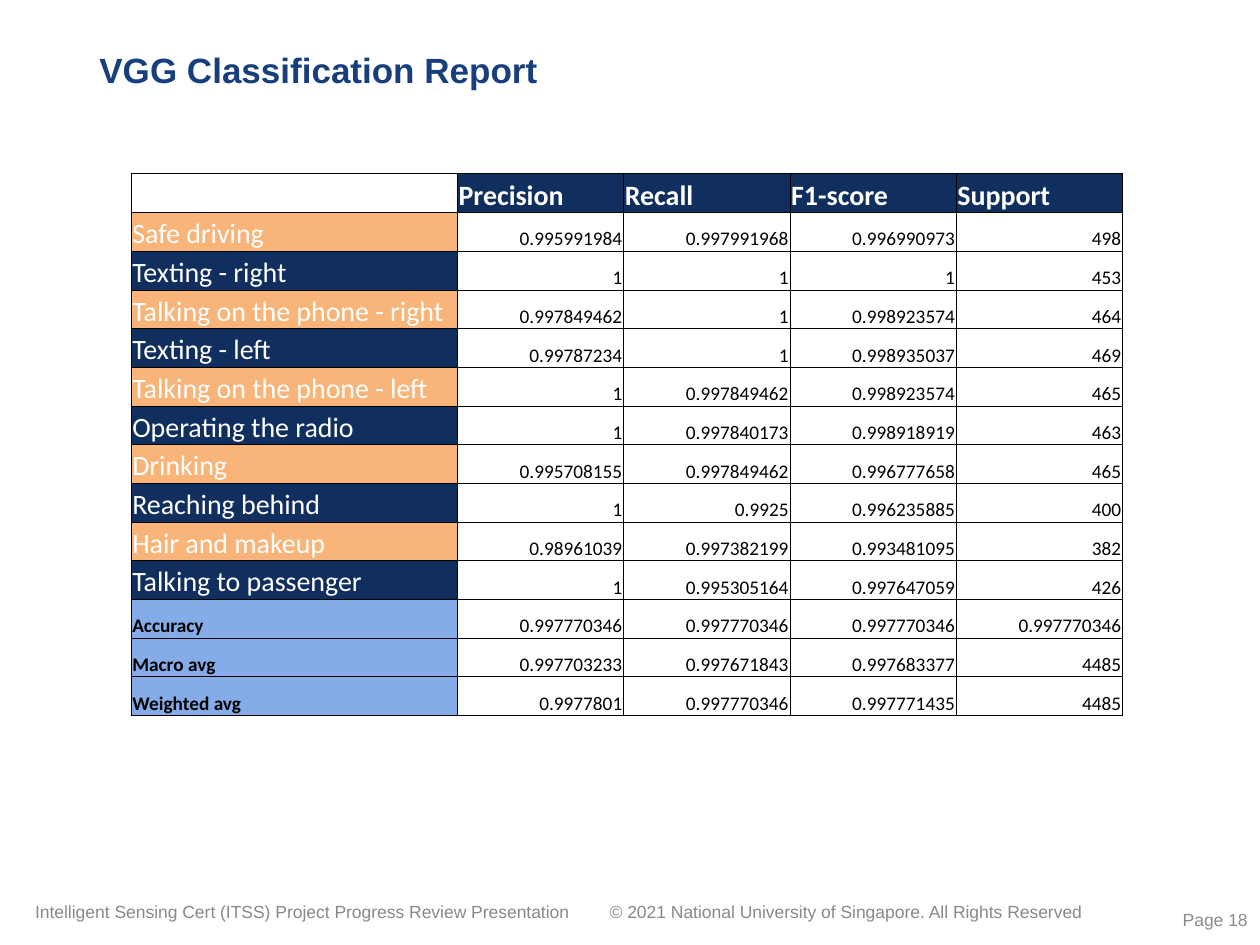
from dataclasses import dataclass

import pptx
import pptx.dml.color
import pptx.enum.text
import pptx.oxml
import pptx.oxml.ns
import pptx.slide
import pptx.table
import pptx.text.text
import pptx.util
from pptx.dml.color import RGBColor
from pptx.util import Inches

TITLE_BLUE = RGBColor(0x17, 0x3F, 0x7E)
NAVY = RGBColor(0x11, 0x2F, 0x5E)
ORANGE = RGBColor(0xF9, 0xB4, 0x79)
LIGHT_BLUE = RGBColor(0x85, 0xAC, 0xE9)
FOOTER_GRAY = RGBColor(0x89, 0x89, 0x89)
PAGE_GRAY = RGBColor(0x8C, 0x8C, 0x8C)
WHITE = RGBColor(0xFF, 0xFF, 0xFF)
BLACK = RGBColor(0, 0, 0)

ALIGN = pptx.enum.text.PP_ALIGN
ANCHOR = pptx.enum.text.MSO_ANCHOR


@dataclass(frozen=True)
class TextStyle:
    size: float
    color: RGBColor
    font: str = "Calibri"
    bold: bool = False
    align: ALIGN = ALIGN.LEFT


@dataclass(frozen=True)
class Label:
    text: str
    left: float
    top: float
    width: float
    height: float
    style: TextStyle
    anchor: ANCHOR = ANCHOR.TOP
    line_spacing: float = 1.0


FOOTER = TextStyle(10, FOOTER_GRAY, "Arial")
LABELS = [
    Label("© 2021 National University of Singapore. All Rights Reserved",
          4.74, 7.1, 4.36, 0.26, FOOTER),
    Label("Intelligent Sensing Cert (ITSS) Project Progress Review Presentation",
          0.18, 7.1, 4.56, 0.26, FOOTER),
    Label("VGG Classification Report", 0.69, 0.27, 7.22, 0.6,
          TextStyle(20, TITLE_BLUE, "Arial", True), ANCHOR.MIDDLE, 0.9),
    Label("Page 18", 8.75, 7.1, 1.25, 0.4,
          TextStyle(10, PAGE_GRAY, "Arial", align=ALIGN.RIGHT), ANCHOR.MIDDLE),
]

HEADER = TextStyle(16, WHITE, bold=True)
CLASS_NAME = TextStyle(16, WHITE)
SUMMARY_NAME = TextStyle(11, BLACK, bold=True)
VALUE = TextStyle(11, BLACK, align=ALIGN.RIGHT)

COLUMN_NAMES = ["", "Precision", "Recall", "F1-score", "Support"]
COLUMN_WIDTHS = [2.59] + [1.32] * 4
CLASS_ROWS = [
    ("Safe driving", "0.995991984", "0.997991968", "0.996990973", "498"),
    ("Texting - right", "1", "1", "1", "453"),
    ("Talking on the phone - right", "0.997849462", "1", "0.998923574", "464"),
    ("Texting - left", "0.99787234", "1", "0.998935037", "469"),
    ("Talking on the phone - left", "1", "0.997849462", "0.998923574", "465"),
    ("Operating the radio", "1", "0.997840173", "0.998918919", "463"),
    ("Drinking", "0.995708155", "0.997849462", "0.996777658", "465"),
    ("Reaching behind", "1", "0.9925", "0.996235885", "400"),
    ("Hair and makeup", "0.98961039", "0.997382199", "0.993481095", "382"),
    ("Talking to passenger", "1", "0.995305164", "0.997647059", "426"),
]
SUMMARY_ROWS = [
    ("Accuracy", "0.997770346", "0.997770346", "0.997770346", "0.997770346"),
    ("Macro avg", "0.997703233", "0.997671843", "0.997683377", "4485"),
    ("Weighted avg", "0.9977801", "0.997770346", "0.997771435", "4485"),
]


def write_text(frame: pptx.text.text.TextFrame, text: str, style: TextStyle) -> None:
    paragraph = frame.paragraphs[0]
    paragraph.alignment = style.align
    if not text:
        # An empty cell keeps the row height only with a small text size
        paragraph._p.get_or_add_endParaRPr().set("sz", str(int(style.size * 100)))
        return
    run = paragraph.add_run()
    run.text = text
    run.font.name = style.font
    run.font.size = pptx.util.Pt(style.size)
    run.font.bold = style.bold
    run.font.color.rgb = style.color


def add_label(slide: pptx.slide.Slide, label: Label) -> None:
    box = slide.shapes.add_textbox(Inches(label.left), Inches(label.top),
                                   Inches(label.width), Inches(label.height))
    frame = box.text_frame
    frame.word_wrap = True
    frame.vertical_anchor = label.anchor
    write_text(frame, label.text, label.style)
    frame.paragraphs[0].line_spacing = label.line_spacing


def add_borders(cell: pptx.table._Cell) -> None:
    properties = cell._tc.get_or_add_tcPr()
    for index, side in enumerate(("lnL", "lnR", "lnT", "lnB")):
        properties.insert(index, pptx.oxml.parse_xml(
            f'<a:{side} {pptx.oxml.ns.nsdecls("a")} w="{pptx.util.Pt(0.5)}">'
            f'<a:solidFill><a:srgbClr val="{BLACK}"/></a:solidFill></a:{side}>'))


def fill_cell(cell: pptx.table._Cell, text: str, style: TextStyle,
              color: RGBColor | None = None) -> None:
    cell.margin_left = cell.margin_right = cell.margin_top = Inches(0.01)
    cell.margin_bottom = 0
    cell.vertical_anchor = ANCHOR.BOTTOM
    if color is None:
        cell.fill.background()
    else:
        cell.fill.solid()
        cell.fill.fore_color.rgb = color
    add_borders(cell)
    write_text(cell.text_frame, text, style)


def add_report(slide: pptx.slide.Slide) -> None:
    rows = CLASS_ROWS + SUMMARY_ROWS
    table = slide.shapes.add_table(
        len(rows) + 1, len(COLUMN_NAMES), Inches(1.04), Inches(1.38),
        Inches(sum(COLUMN_WIDTHS)), Inches(4.3)).table
    table.first_row = table.horz_banding = False
    for column, width in zip(table.columns, COLUMN_WIDTHS):
        column.width = Inches(width)

    # Header row
    for index, name in enumerate(COLUMN_NAMES):
        fill_cell(table.cell(0, index), name, HEADER if name else VALUE,
                  NAVY if name else None)

    # Class rows alternate in color, summary rows share one
    for index, (name, *values) in enumerate(rows):
        if index < len(CLASS_ROWS):
            style, color = CLASS_NAME, (ORANGE, NAVY)[index % 2]
        else:
            style, color = SUMMARY_NAME, LIGHT_BLUE
        fill_cell(table.cell(index + 1, 0), name, style, color)
        for column, value in enumerate(values, start=1):
            fill_cell(table.cell(index + 1, column), value, VALUE)


def main() -> None:
    presentation = pptx.Presentation()
    presentation.slide_width = Inches(10)
    presentation.slide_height = Inches(7.5)
    slide = presentation.slides.add_slide(presentation.slide_layouts[6])
    for label in LABELS:
        add_label(slide, label)
    add_report(slide)
    presentation.save("out.pptx")


if __name__ == "__main__":
    main()
